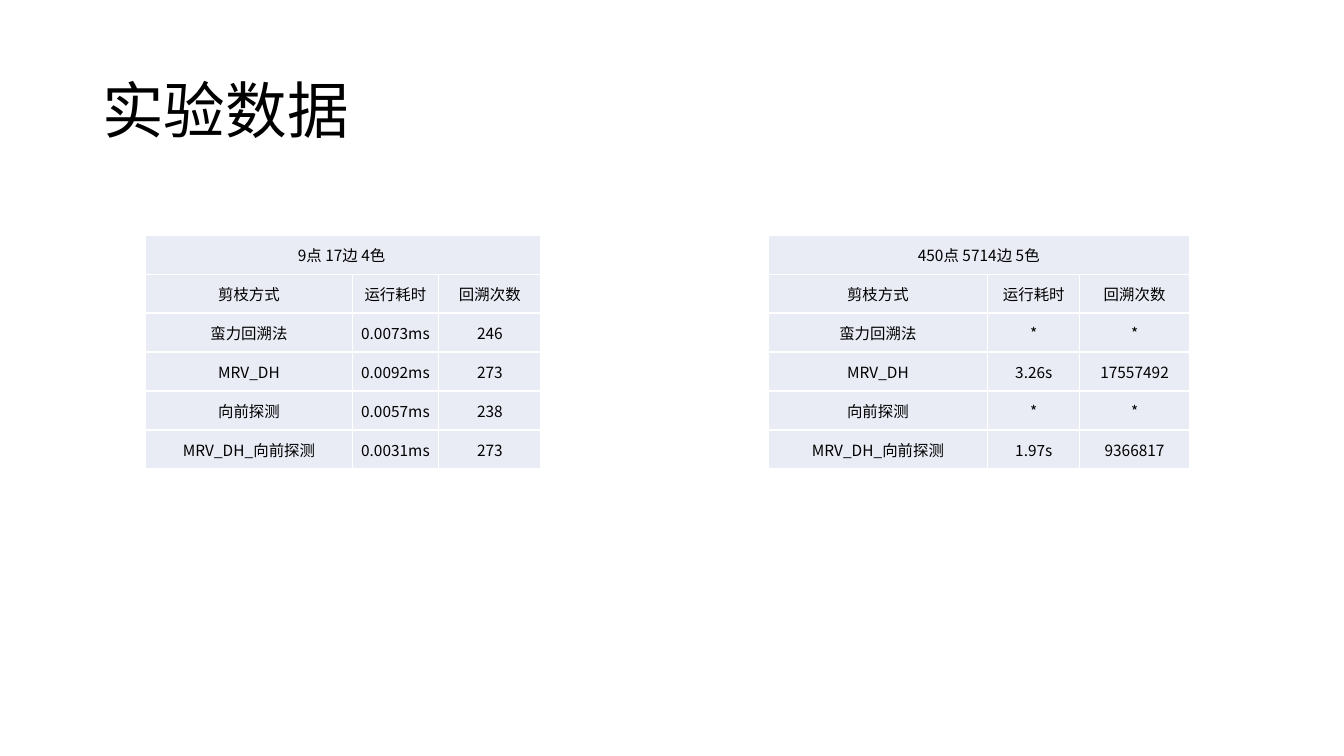
from dataclasses import dataclass

from lxml import etree
from pptx import Presentation
from pptx.dml.color import RGBColor
from pptx.enum.text import MSO_ANCHOR, PP_ALIGN
from pptx.oxml.ns import qn
from pptx.util import Inches, Pt

MIDDLE = MSO_ANCHOR.MIDDLE
LEFT, CENTER = PP_ALIGN.LEFT, PP_ALIGN.CENTER
BLANK = 6


@dataclass(frozen=True)
class Theme:
    font: str = "Noto Sans CJK SC"
    ink: str = "000000"
    fill: str = "E9EBF5"
    rule: str = "FFFFFF"
    title: int = 44
    body: int = 11
    line: int = 1


def apply(item, form):
    for name, value in form.items():
        setattr(item, name, value)


class Page:
    """Places elements on a grid of 100 columns by 100 rows."""

    def __init__(self, deck, theme):
        self.theme = theme
        self.col = deck.slide_width / 100
        self.row = deck.slide_height / 100
        self.slide = deck.slides.add_slide(deck.slide_layouts[BLANK])

    def box(self, x, y, w, h):
        return [round(v) for v in (x * self.col, y * self.row,
                                   w * self.col, h * self.row)]

    def label(self, frame, text, size, align, space=1.0):
        para = frame.paragraphs[0]
        apply(para, {"alignment": align, "line_spacing": space})
        run = para.add_run()
        run.text = text
        apply(run.font, {"name": self.theme.font, "size": Pt(size)})
        run.font.color.rgb = RGBColor.from_string(self.theme.ink)
        # East Asian text takes its own typeface
        east = etree.SubElement(run._r.get_or_add_rPr(), qn("a:ea"))
        east.set("typeface", self.theme.font)

    def title(self, text, x, y, w, h):
        frame = self.slide.shapes.add_textbox(*self.box(x, y, w, h)).text_frame
        apply(frame, {"word_wrap": True, "vertical_anchor": MIDDLE})
        self.label(frame, text, self.theme.title, LEFT, 0.9)

    def border(self, cell):
        props = cell._tc.get_or_add_tcPr()
        for side in ("lnL", "lnR", "lnT", "lnB"):
            line = etree.SubElement(props, qn("a:" + side),
                                    w=str(int(Pt(self.theme.line))))
            solid = etree.SubElement(line, qn("a:solidFill"))
            etree.SubElement(solid, qn("a:srgbClr"), val=self.theme.rule)

    def cell(self, cell, text):
        apply(cell, {"vertical_anchor": MIDDLE, "margin_left": Inches(0.01),
                     "margin_right": Inches(0.01),
                     "margin_top": Inches(0.01), "margin_bottom": 0})
        self.border(cell)
        cell.fill.solid()
        cell.fill.fore_color.rgb = RGBColor.from_string(self.theme.fill)
        if text:
            self.label(cell.text_frame, text, self.theme.body, CENTER)

    def table(self, head, rows, x, y, cols, step):
        grid = [(head, "", ""), *rows]
        place = self.box(x, y, sum(cols), step * len(grid))
        table = self.slide.shapes.add_table(len(grid), len(cols), *place).table
        apply(table, {"first_row": False, "horz_banding": False})
        for col, width in zip(table.columns, cols):
            col.width = round(width * self.col)
        for r, line in enumerate(grid):
            table.rows[r].height = round(step * self.row)
            for c, text in enumerate(line):
                self.cell(table.cell(r, c), text)
        # The heading spans the whole first row
        table.cell(0, 0).merge(table.cell(0, len(cols) - 1))


def main():
    deck = Presentation()
    apply(deck, {"slide_width": Inches(13.33), "slide_height": Inches(7.5)})
    page = Page(deck, Theme())

    # Title
    page.title("实验数据", 6.88, 5.33, 86.25, 19.33)

    # Results: one table per graph, sharing labels and row height
    labels = ("剪枝方式", "蛮力回溯法", "MRV_DH", "向前探测", "MRV_DH_向前探测")
    times, counts = "运行耗时", "回溯次数"
    graphs = (
        ("9点 17边 4色 ", 10.85, (15.35, 6.45, 7.6),
         (times, "0.0073ms", "0.0092ms", "0.0057ms", "0.0031ms"),
         (counts, "246", "273", "238", "273")),
        ("450点 5714边 5色", 57.15, (16.35, 6.85, 8.15),
         (times, "*", "3.26s", "*", "1.97s"),
         (counts, "*", "17557492", "*", "9366817")),
    )
    for head, x, cols, spent, backs in graphs:
        page.table(head, zip(labels, spent, backs), x, 31.1, cols, 5.16)

    deck.save("out.pptx")


if __name__ == "__main__":
    main()
